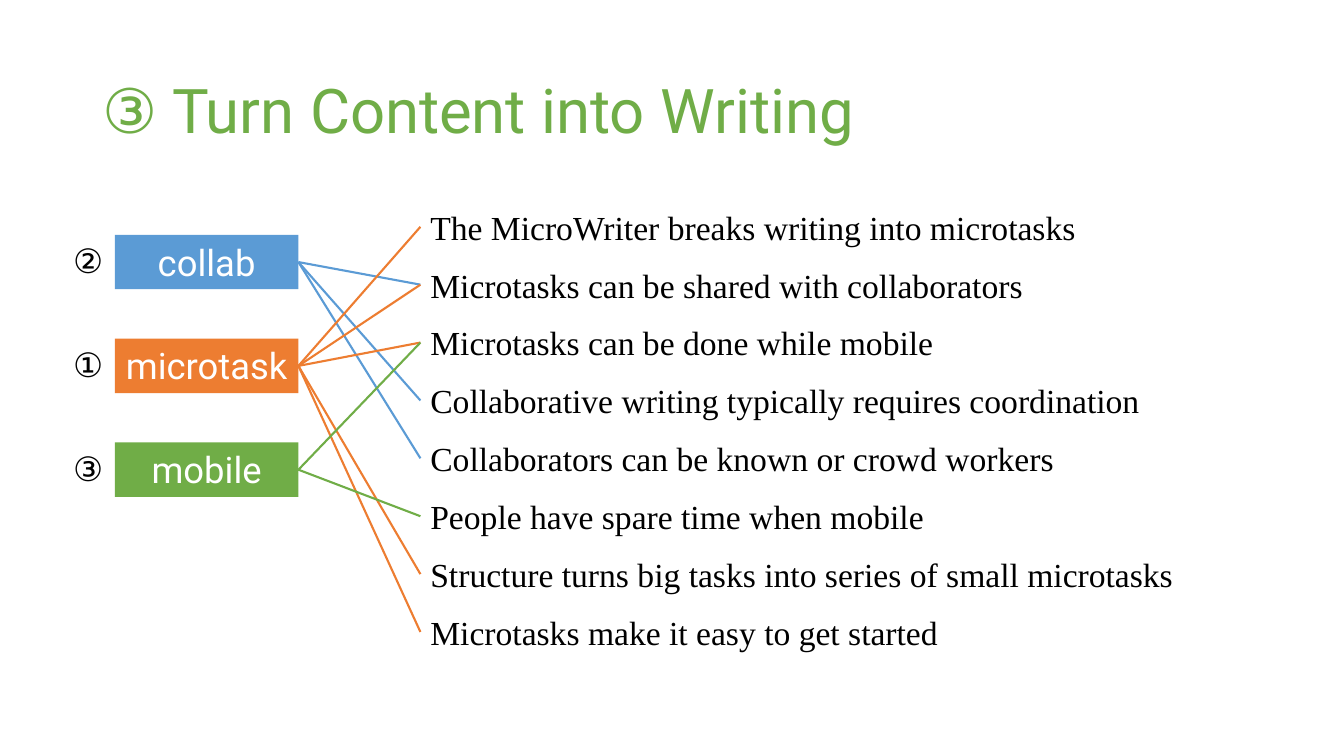
from dataclasses import dataclass

from lxml import etree
from pptx import Presentation
from pptx.dml.color import RGBColor
from pptx.enum.shapes import MSO_CONNECTOR, MSO_SHAPE
from pptx.enum.text import MSO_ANCHOR, PP_ALIGN
from pptx.oxml.ns import qn
from pptx.util import Inches, Pt

RECT = MSO_SHAPE.RECTANGLE
STRAIGHT = MSO_CONNECTOR.STRAIGHT
TOP, MIDDLE = MSO_ANCHOR.TOP, MSO_ANCHOR.MIDDLE
LEFT, CENTER = PP_ALIGN.LEFT, PP_ALIGN.CENTER
LEFT_SITE, RIGHT_SITE = 1, 3


@dataclass(frozen=True)
class Theme:
    blue: str = "5B9BD5"
    orange: str = "ED7D31"
    green: str = "70AD47"
    white: str = "FFFFFF"
    black: str = "000000"
    sans: str = "Roboto"
    serif: str = "Times New Roman"
    title: int = 44
    tag: int = 26
    body: int = 24
    line: float = 1.5


T = Theme()


def set_text(sp, text, size=T.body, font=T.sans, color=T.black,
             align=LEFT, anchor=TOP, spacing=None):
    tf = sp.text_frame
    tf.word_wrap = True
    tf.vertical_anchor = anchor
    p = tf.paragraphs[0]
    p.alignment = align
    if spacing:
        p.line_spacing = spacing
    r = p.add_run()
    r.text = text
    r.font.size = Pt(size)
    r.font.name = font
    r.font.color.rgb = RGBColor.from_string(color)


prs = Presentation()
prs.slide_width, prs.slide_height = Inches(13.33), Inches(7.5)
s = prs.slides.add_slide(prs.slide_layouts[6])

title = s.shapes.add_textbox(Inches(0.92), Inches(0.4), Inches(11.5), Inches(1.45))
set_text(title, "③ Turn Content into Writing", size=T.title, color=T.green,
         anchor=MIDDLE, spacing=0.9)

# Sentences, evenly spaced down the right side
sentences = [
    "The MicroWriter breaks writing into microtasks",
    "Microtasks can be shared with collaborators",
    "Microtasks can be done while mobile",
    "Collaborative writing typically requires coordination",
    "Collaborators can be known or crowd workers",
    "People have spare time when mobile",
    "Structure turns big tasks into series of small microtasks",
    "Microtasks make it easy to get started",
]
first_top, last_top = 2, 6.02
sentence_step = (last_top - first_top) / (len(sentences) - 1)
sentence_boxes = []
for i, sentence in enumerate(sentences):
    sp = s.shapes.add_textbox(Inches(4.17), Inches(first_top + i * sentence_step),
                              Inches(9), Inches(0.5))
    set_text(sp, sentence, font=T.serif)
    sentence_boxes.append(sp)

# Tags: order number, label, colour, indexes of the sentences they link to
tags = [
    ("②", "collab", T.blue, [1, 3, 4]),
    ("①", "microtask", T.orange, [0, 1, 2, 6, 7]),
    ("③", "mobile", T.green, [5, 2]),
]
tag_top, tag_step = 2.33, 1.03
for i, (number, label, color, links) in enumerate(tags):
    top = Inches(tag_top + i * tag_step)
    rgb = RGBColor.from_string(color)

    num = s.shapes.add_textbox(Inches(0.57), top, Inches(0.61), Inches(0.5))
    set_text(num, number, align=CENTER)

    tag = s.shapes.add_shape(RECT, Inches(1.14), top, Inches(1.82), Inches(0.54))
    tag.shadow.inherit = False
    tag.fill.solid()
    tag.fill.fore_color.rgb = rgb
    tag.line.fill.background()
    set_text(tag, label, size=T.tag, color=T.white, align=CENTER)

    for link in links:
        line = s.shapes.add_connector(STRAIGHT, 0, 0, 0, 0)
        line.begin_connect(tag, RIGHT_SITE)
        line.end_connect(sentence_boxes[link], LEFT_SITE)
        line.line.color.rgb = rgb
        line.line.width = Pt(T.line)
        etree.SubElement(line._element.spPr, qn("a:effectLst"))

prs.save("out.pptx")
